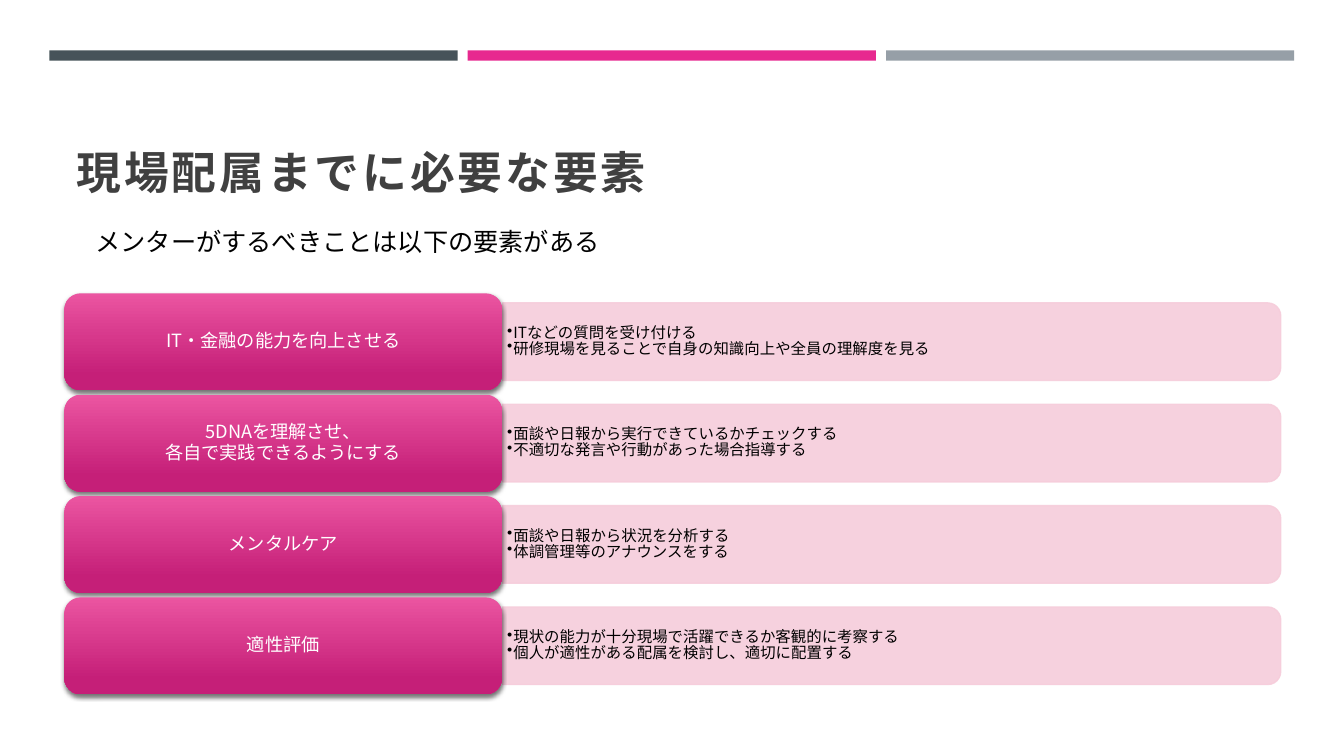
"""Build a slide on what mentors provide before a field assignment."""
from dataclasses import dataclass

from lxml.etree import SubElement
from pptx import Presentation
from pptx.dml.color import RGBColor
from pptx.enum.shapes import MSO_SHAPE
from pptx.enum.text import MSO_ANCHOR, PP_ALIGN
from pptx.oxml.ns import qn
from pptx.util import Pt


@dataclass(frozen=True)
class Theme:
    """Hold the font, colours and type sizes."""
    font: str = "Noto Sans CJK JP"
    bars: tuple = ("465359", "E7298F", "969FA7")
    title: str = "404040"
    ink: str = "000000"
    light: str = "FFFFFF"
    panel: str = "F6CDDB"
    top: str = "EB55A1"
    base: str = "C51F78"
    head: int = 32
    lead: int = 18
    card: int = 13
    note: int = 11


THEME = Theme()
ROWS = (
    ("IT・金融の能力を向上させる",
     "ITなどの質問を受け付ける\n研修現場を見ることで自身の知識向上や全員の理解度を見る"),
    ("5DNAを理解させ、\n各自で実践できるようにする",
     "面談や日報から実行できているかチェックする\n不適切な発言や行動があった場合指導する"),
    ("メンタルケア",
     "面談や日報から状況を分析する\n体調管理等のアナウンスをする"),
    ("適性評価",
     "現状の能力が十分現場で活躍できるか客観的に考察する\n個人が適性がある配属を検討し、適切に配置する"),
)


def rgb(code):
    """Turn a hex code into a colour."""
    return RGBColor.from_string(code)


def write(shape, text, size, color, pad, anchor=MSO_ANCHOR.MIDDLE,
          align=PP_ALIGN.LEFT, lines=1.0, after=0, bold=False):
    """Fill a shape with formatted text and return its paragraphs."""
    frame = shape.text_frame
    frame.text = text
    frame.word_wrap = True
    frame.vertical_anchor = anchor
    frame.margin_left = frame.margin_right = Pt(pad[0])
    frame.margin_top, frame.margin_bottom = Pt(pad[1]), Pt(pad[2])
    for para in frame.paragraphs:
        para.alignment = align
        para.line_spacing = lines
        para.space_before, para.space_after = Pt(0), Pt(after)
        for run in para.runs:
            font = run.font
            font.name, font.size, font.bold = THEME.font, Pt(size), bold
            font.color.rgb = rgb(color)
            east = SubElement(run._r.get_or_add_rPr(), qn("a:ea"))
            east.set("typeface", THEME.font)
    return frame.paragraphs


def add_block(slide, kind, left, top, width, height):
    """Add a preset shape without shadow or line."""
    shape = slide.shapes.add_shape(kind, Pt(left), Pt(top), Pt(width), Pt(height))
    shape.shadow.inherit = False
    shape.line.fill.background()
    return shape


def add_bars(slide):
    """Add the three bars along the top."""
    for i, color in enumerate(THEME.bars):
        bar = add_block(slide, MSO_SHAPE.RECTANGLE, 35.3 + i * 298.8, 36, 291.6, 7.4)
        bar.fill.solid()
        bar.fill.fore_color.rgb = rgb(color)


def add_title(slide, text):
    """Place and format the title."""
    title = slide.shapes.title
    title.left, title.top, title.width, title.height = map(Pt, (46.1, 55.4, 868.3, 93.6))
    paras = write(title, text, THEME.head, THEME.title, (8.64, 8.64, 7.2),
                  MSO_ANCHOR.BOTTOM, lines=1.1, bold=True)
    paras[0].runs[0]._r.get_or_add_rPr().set("spc", "200")


def add_text(slide, left, top, width, height):
    """Add an empty text box."""
    return slide.shapes.add_textbox(Pt(left), Pt(top), Pt(width), Pt(height))


def add_panel(slide, mid):
    """Add a pale panel with its right corners rounded."""
    width, height = 555.8, 55.4
    panel = add_block(slide, MSO_SHAPE.ROUND_2_SAME_RECTANGLE,
                      636.9 - height / 2, mid - width / 2, height, width)
    panel.rotation = 90
    panel.line.width = Pt(1)
    for fill in (panel.fill, panel.line.fill):
        fill.solid()
        fill.fore_color.rgb = rgb(THEME.panel)
    for color in panel._element.spPr.iter(qn("a:srgbClr")):
        SubElement(color, qn("a:alpha")).set("val", "90000")


def add_notes(slide, mid, text):
    """Add the bulleted points of a row."""
    box = add_text(slide, 358.6, mid - 24.9, 553, 49.8)
    for para in write(box, text, THEME.note, THEME.ink, (3.6, 1.44, 1.44), lines=0.85):
        props = para._p.get_or_add_pPr()
        props.set("marL", str(Pt(4.5)))
        props.set("indent", str(Pt(-4.5)))
        SubElement(props, qn("a:buChar")).set("char", "•")


def add_card(slide, mid, text):
    """Add a shaded card that names a row."""
    card = add_block(slide, MSO_SHAPE.ROUNDED_RECTANGLE, 46.1, mid - 34.6, 312.5, 69.2)
    card.fill.gradient()
    card.fill.gradient_angle = 270
    stops = zip(card.fill.gradient_stops, (0, 0.84), (THEME.top, THEME.base))
    for stop, place, color in stops:
        stop.position = place
        stop.color.rgb = rgb(color)
    shade = SubElement(card._element.spPr.find(qn("a:effectLst")), qn("a:outerShdw"),
                       blurRad=str(Pt(3)), dist=str(Pt(2)), dir="5400000",
                       algn="ctr", rotWithShape="0")
    color = SubElement(shade, qn("a:srgbClr"), val=THEME.ink)
    SubElement(color, qn("a:alpha"), val="55000")
    write(card, text, THEME.card, THEME.light, (3.6, 2.16, 2.16),
          align=PP_ALIGN.CENTER, lines=0.9, after=1.6)


def main():
    """Build and save the slide."""
    deck = Presentation()
    deck.slide_width, deck.slide_height = Pt(960), Pt(540)
    slide = deck.slides.add_slide(deck.slide_layouts[5])
    add_bars(slide)
    add_title(slide, "現場配属までに必要な要素")
    lead = add_text(slide, 61.2, 158.4, 658.1, 28.8)
    write(lead, "メンターがするべきことは以下の要素がある", THEME.lead, THEME.ink,
          (7.2, 3.6, 3.6), MSO_ANCHOR.TOP)
    for i, (name, notes) in enumerate(ROWS):
        mid = 244.1 + i * 72.4
        add_panel(slide, mid)
        add_notes(slide, mid, notes)
        add_card(slide, mid, name)
    deck.save("out.pptx")


if __name__ == "__main__":
    main()
